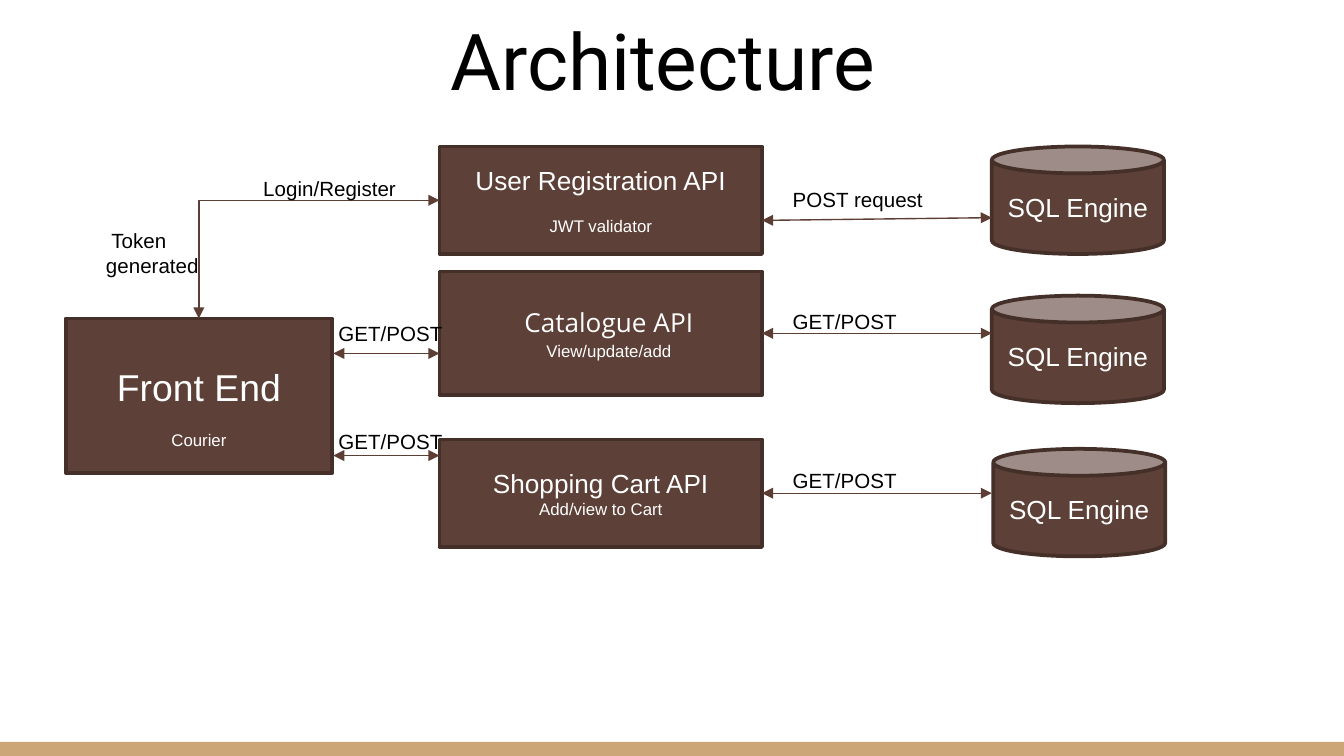
from pptx import Presentation
from pptx.dml.color import RGBColor
from pptx.enum.shapes import MSO_CONNECTOR, MSO_SHAPE
from pptx.enum.text import MSO_ANCHOR, MSO_AUTO_SIZE, PP_ALIGN
from pptx.oxml.ns import qn
from pptx.util import Pt
from lxml import etree

PX = 9144  # 100 px to the inch
BROWN, BORDER, ARROW = "5D4037", "452F29", "5C3E35"
WHITE, BLACK, SAND = "FFFFFF", "000000", "CCA677"

# name: (left, top, width, height), [(text, size, font, space before)], top inset
BOXES = {
    "front end": ((49, 237, 198, 115),
                  [("Front End", 20, "Arial", 0), ("Courier", 9, "Arial", 11)], 22),
    "registration": ((327, 109, 240, 80),
                     [("User Registration API", 14, "Arial", 0),
                      ("JWT validator", 9, "Arial", 11)], 5),
    "cart": ((327, 327, 240, 80),
             [("Shopping Cart API", 14, "Arial", 0),
              ("Add/view to Cart", 9, "Arial", 0)], 5),
}
CATALOGUE = ((327, 202, 240, 92),
             [("Catalogue API", 14, "Open Sans", 0), ("View/update/add", 9, "Arial", 0)])
DATABASES = [(738, 109), (738, 220), (739, 334)]
DATABASE_SIZE = (128, 80)
DATABASE_TEXT = [("SQL Engine", 14, "Arial", 0)]

# from, to, name of the box whose right side it starts from
ARROWS = [
    ((567, 164), (738, 162), None),
    ((567, 248), (738, 248), "catalogue"),
    ((567, 367), (738, 367), "cart"),
    ((248, 263), (327, 263), None),
    ((248, 339), (327, 339), None),
]
LABELS = [
    ("POST request", (576, 134, 128, 29)),
    ("GET/POST", (576, 225, 102, 29)),
    ("GET/POST", (576, 343, 144, 29)),
    ("Login/Register", (182, 126, 128, 29)),
    ("Token generated", (69, 165, 128, 47)),
    ("GET/POST", (238, 234, 142, 29)),
    ("GET/POST", (238, 314, 140, 29)),
]


def px(*lengths):
    return [length * PX for length in lengths]


def color(value):
    return RGBColor.from_string(value)


def style_font(paragraph, size, font, value):
    for run in paragraph.runs:
        run.font.size, run.font.name = Pt(size), font
        run.font.color.rgb = color(value)


def paint(shape, fill, line=None):
    shape.fill.solid()
    shape.fill.fore_color.rgb = color(fill)
    if line:
        shape.line.color.rgb = color(line)
        shape.line.width = Pt(2)
    else:
        shape.line.fill.background()


def write(frame, lines, value=WHITE):
    frame.word_wrap = True
    frame.vertical_anchor = MSO_ANCHOR.MIDDLE
    frame.text = "\n".join(text for text, *_ in lines)
    for paragraph, (_, size, font, before) in zip(frame.paragraphs, lines):
        paragraph.alignment = PP_ALIGN.CENTER
        paragraph.space_before = Pt(before)
        style_font(paragraph, size, font, value)


def place(shape, box):
    shape.left, shape.top, shape.width, shape.height = px(*box)


def set_insets(frame, left, top, right, bottom):
    frame.margin_left, frame.margin_top, frame.margin_right, frame.margin_bottom = px(
        left, top, right, bottom)


def add_block(slide, kind, box, lines, top_inset=5):
    shape = slide.shapes.add_shape(kind, *px(*box))
    shape.shadow.inherit = False
    paint(shape, BROWN, BORDER)
    set_insets(shape.text_frame, 10, top_inset, 10, 5)
    write(shape.text_frame, lines)
    return shape


def add_arrow(slide, kind, start, end):
    """Add a connector with a triangle at both ends."""
    connector = slide.shapes.add_connector(kind, *px(*start, *end))
    connector.line.color.rgb = color(ARROW)
    connector.line.width = Pt(0.75)
    line = connector.line._get_or_add_ln()
    for tag in ("a:headEnd", "a:tailEnd"):
        etree.SubElement(line, qn(tag), type="triangle")
    etree.SubElement(connector._element.spPr, qn("a:effectLst"))
    return connector


def add_label(slide, text, box):
    frame = slide.shapes.add_textbox(*px(*box)).text_frame
    frame.word_wrap = True
    frame.text = text
    paragraph = frame.paragraphs[0]
    properties = paragraph._p.get_or_add_pPr()
    properties.set("marL", "0")
    properties.set("indent", str(4 * PX))
    style_font(paragraph, 11, "Arial", BLACK)


def main():
    presentation = Presentation()
    presentation.slide_width = 1000 * PX
    presentation.slide_height = presentation.slide_width * 9 // 16
    slide = presentation.slides.add_slide(presentation.slide_layouts[1])

    bar_top = 552 * PX
    bar = slide.shapes.add_shape(
        MSO_SHAPE.RECTANGLE, 0, bar_top,
        presentation.slide_width, presentation.slide_height - bar_top)
    bar.shadow.inherit = False
    paint(bar, SAND)

    title = slide.shapes.title
    place(title, (27, -2, 932, 91))
    set_insets(title.text_frame, 10, 10, 10, 10)
    write(title.text_frame, [("Architecture", 42, "Roboto", 0)], BLACK)
    title.text_frame.vertical_anchor = MSO_ANCHOR.BOTTOM
    title.text_frame.auto_size = MSO_AUTO_SIZE.NONE

    blocks = {name: add_block(slide, MSO_SHAPE.RECTANGLE, *content)
              for name, content in BOXES.items()}
    for corner in DATABASES:
        add_block(slide, MSO_SHAPE.CAN, corner + DATABASE_SIZE, DATABASE_TEXT)

    box, lines = CATALOGUE
    catalogue = blocks["catalogue"] = slide.placeholders[1]
    place(catalogue, box)
    paint(catalogue, BROWN, BORDER)
    set_insets(catalogue.text_frame, 10, 10, 10, 13)
    write(catalogue.text_frame, lines)
    catalogue.text_frame.auto_size = MSO_AUTO_SIZE.NONE
    for paragraph in catalogue.text_frame.paragraphs:
        properties = paragraph._p.get_or_add_pPr()
        properties.set("marL", str(12 * PX))
        properties.set("indent", "0")
        etree.SubElement(properties, qn("a:buNone"))
        paragraph.line_spacing = 1.15

    for start, end, source in ARROWS:
        arrow = add_arrow(slide, MSO_CONNECTOR.STRAIGHT, start, end)
        if source:
            arrow.begin_connect(blocks[source], 3)

    login = add_arrow(slide, MSO_CONNECTOR.ELBOW, (327, 149), (148, 237))
    login._element.spPr.find(qn("a:prstGeom")).set("prst", "bentConnector2")
    login.begin_connect(blocks["registration"], 1)
    login.end_connect(blocks["front end"], 0)

    for text, box in LABELS:
        add_label(slide, text, box)

    presentation.save("out.pptx")


if __name__ == "__main__":
    main()
